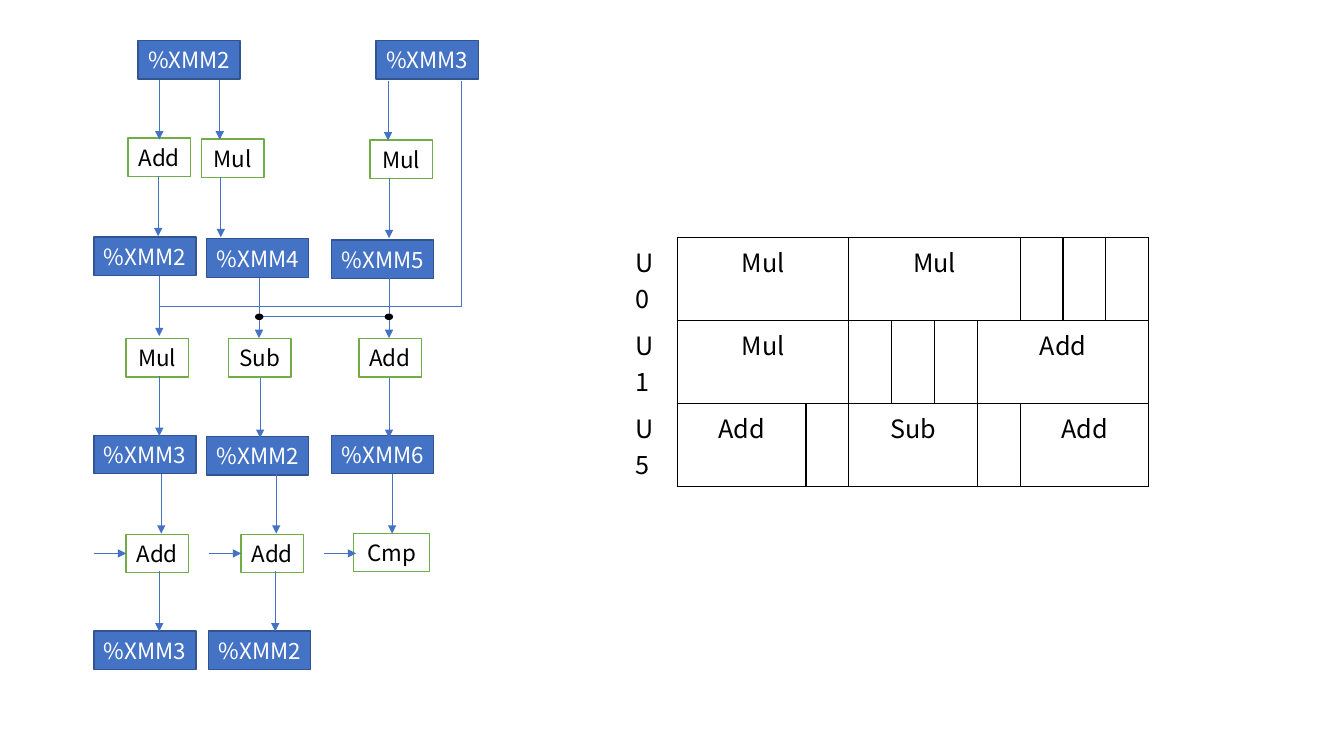
from lxml.etree import SubElement
from pptx import Presentation
from pptx.dml.color import RGBColor
from pptx.enum.shapes import MSO_CONNECTOR, MSO_SHAPE
from pptx.enum.text import MSO_ANCHOR, PP_ALIGN
from pptx.oxml import parse_xml
from pptx.oxml.ns import nsdecls, qn
from pptx.util import Pt

FONT = "Noto Sans CJK SC"
HEX = {"reg": "4472C4", "edge": "325491", "op": "70AD47",
       "white": "FFFFFF", "black": "000000"}
PLAIN = "{2D5ABB26-0587-4C30-8999-92F81FD0307C}"

# Nodes and arrows: (text, left, top) and (left, top), inside the graph box
REGS = [("%XMM2", 31.6, 0), ("%XMM3", 201.6, 0),
        ("%XMM2", 0, 140.2), ("%XMM4", 80.6, 141.6), ("%XMM5", 169.9, 142.4),
        ("%XMM3", 0, 282), ("%XMM2", 80.6, 282.8), ("%XMM6", 169.9, 282),
        ("%XMM3", 0, 421.7), ("%XMM2", 82, 421.7)]
OPS = [("Add", 24.4, 69.6), ("Mul", 77, 70.4), ("Mul", 197.2, 71.1),
       ("Mul", 23, 212.9), ("Sub", 96.4, 212.9), ("Add", 189.3, 212.9),
       ("Add", 23, 352.6), ("Add", 105.1, 352.6), ("Cmp", 185.7, 351.9)]
DOWN = [(46.8, 27.9), (90, 27.9), (210.2, 28.6),
        (46, 97), (90.7, 97.7), (210.9, 98.4),
        (46.8, 168.3), (118, 169.7), (210.9, 169.7),
        (46.8, 239.6), (118.8, 241), (210.9, 241),
        (48.2, 309.4), (130.3, 309.4), (213.1, 309.4),
        (46.8, 379.2), (129.6, 379.2)]

# Units: (name, [(text, columns spanned)])
UNITS = [("U0", [("Mul", 2), ("Mul", 4), ("", 1), ("", 1), ("", 1)]),
         ("U1", [("Mul", 2), ("", 1), ("", 1), ("", 1), ("Add", 4)]),
         ("U5", [("Add", 1), ("", 1), ("Sub", 3), ("", 1), ("Add", 3)])]


def tint(name):
    """Return a named colour."""
    return RGBColor.from_string(HEX[name])


def write(frame, text, size, ink, align):
    """Put one styled line of text in a frame."""
    frame.text = text
    para = frame.paragraphs[0]
    para.alignment = align
    for font in [para.font] + [run.font for run in para.runs]:
        font.size, font.name = Pt(size), FONT
        font.color.rgb = tint(ink)


def block(slide, kind, box, fill, edge):
    """Draw a filled preset shape."""
    shape = slide.shapes.add_shape(kind, *map(Pt, box))
    shape.shadow.inherit = False
    shape.fill.solid()
    shape.fill.fore_color.rgb = tint(fill)
    shape.line.color.rgb = tint(edge)
    shape.line.width = Pt(1)
    return shape


def node(slide, text, box, fill, edge, ink):
    """Draw a labelled rectangle."""
    frame = block(slide, MSO_SHAPE.RECTANGLE, box, fill, edge).text_frame
    frame.word_wrap = False
    frame.vertical_anchor = MSO_ANCHOR.MIDDLE
    write(frame, text, 16, ink, PP_ALIGN.CENTER)


def link(slide, start, end, head=True, bent=False):
    """Draw a thin line, with an arrowhead or a single bend if asked."""
    kind = MSO_CONNECTOR.ELBOW if bent else MSO_CONNECTOR.STRAIGHT
    line = slide.shapes.add_connector(kind, *map(Pt, (*start, *end)))
    line.line.color.rgb = tint("reg")
    line.line.width = Pt(0.5)
    props = line._element.spPr
    SubElement(props, qn("a:effectLst"))
    if head:
        SubElement(props.find(qn("a:ln")), qn("a:tailEnd"), type="triangle")
    if bent:
        geom = props.find(qn("a:prstGeom"))
        SubElement(geom.find(qn("a:avLst")), qn("a:gd"),
                   name="adj1", fmla="val 0")


def graph(slide, left, top):
    """Draw the data flow between registers and operations."""
    def at(x, y):
        return left + x, top + y

    for text, x, y in REGS:
        node(slide, text, (*at(x, y), 73, 27.5), "reg", "edge", "white")
    for text, x, y in OPS:
        wide = 54 if text == "Cmp" else 44.6
        node(slide, text, (*at(x, y), wide, 27.5), "white", "op", "black")
    for x, y in DOWN:
        link(slide, at(x, y), at(x, y + 42.8))
    for col in range(3):
        x = col * 82.1
        link(slide, at(x, 366.3), at(x + 23.2, 366.3))
    link(slide, at(262.8, 28.6), at(46.8, 189.9), head=False, bent=True)
    link(slide, at(118, 197.3), at(210.9, 197.3), head=False)
    for x in (115.7, 208.3):
        block(slide, MSO_SHAPE.OVAL, (*at(x, 195.5), 5, 3.6),
              "black", "black")


def border(cell, sides):
    """Draw black borders on the given sides of a cell."""
    props = cell._tc.get_or_add_tcPr()
    for spot, side in enumerate(sides):
        props.insert(spot, parse_xml(
            f'<a:ln{side} {nsdecls("a")} w="12700"><a:solidFill>'
            f'<a:srgbClr val="{HEX["black"]}"/></a:solidFill></a:ln{side}>'))


def chart(slide, left, top):
    """Build the table of work scheduled on each unit."""
    wides = [36.8, 92] + [30.6] * 8
    table = slide.shapes.add_table(
        len(UNITS), len(wides), Pt(left), Pt(top),
        Pt(sum(wides)), Pt(29.2 * len(UNITS))).table
    table.first_row = table.horz_banding = False
    table._tbl.tblPr.find(qn("a:tableStyleId")).text = PLAIN
    for col, wide in zip(table.columns, wides):
        col.width = Pt(wide)
    for row, (name, jobs) in enumerate(UNITS):
        table.rows[row].height = Pt(29.2)
        for col in range(len(wides)):
            cell = table.cell(row, col)
            cell.fill.background()
            border(cell, "LRTB" if col else "R")
        write(table.cell(row, 0).text_frame, name, 18, "black", PP_ALIGN.LEFT)
        col = 1
        for text, span in jobs:
            cell = table.cell(row, col)
            if span > 1:
                cell.merge(table.cell(row, col + span - 1))
            write(cell.text_frame, text, 18, "black", PP_ALIGN.CENTER)
            col += span


def main():
    """Build and save the slide."""
    deck = Presentation()
    deck.slide_width, deck.slide_height = Pt(960), Pt(540)
    slide = deck.slides.add_slide(deck.slide_layouts[6])
    graph(slide, 67, 29)
    chart(slide, 447, 169.8)
    deck.save("out.pptx")


main()
